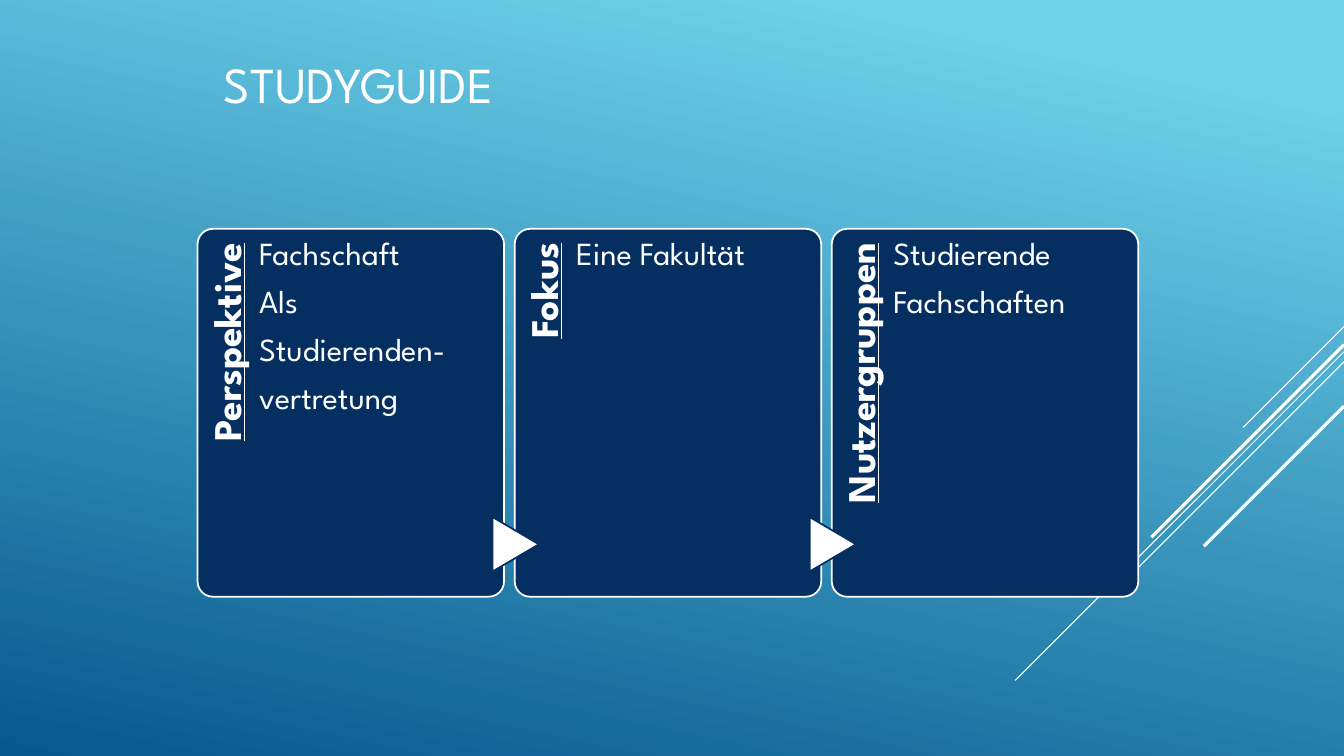
import pptx
import pptx.dml.color
import pptx.enum.shapes
import pptx.enum.text
import pptx.oxml
import pptx.oxml.ns
import pptx.util

Inches = pptx.util.Inches
Pt = pptx.util.Pt
RGBColor = pptx.dml.color.RGBColor
MSO_SHAPE = pptx.enum.shapes.MSO_SHAPE
PP_ALIGN = pptx.enum.text.PP_ALIGN
MSO_ANCHOR = pptx.enum.text.MSO_ANCHOR

WHITE = RGBColor(0xFF, 0xFF, 0xFF)
NAVY = RGBColor(0x05, 0x2F, 0x61)
SKY = RGBColor(0x6E, 0xD2, 0xEB)
OCEAN = RGBColor(0x06, 0x58, 0x8E)
FONT = "League Spartan"

deck = pptx.Presentation()
deck.slide_width = Inches(13.33)
deck.slide_height = Inches(7.5)
page = deck.slides.add_slide(deck.slide_layouts[5])


def add_panel(preset, left, top, width, height, fill_color, line_color):
    panel = page.shapes.add_shape(
        preset, Inches(left), Inches(top), Inches(width), Inches(height))
    panel.shadow.inherit = False
    panel.fill.solid()
    panel.fill.fore_color.rgb = fill_color
    panel.line.color.rgb = line_color
    panel.line.width = Pt(1.25)
    return panel


def add_text(lines, left, top, width, height, insets, size, space_after):
    box = page.shapes.add_textbox(
        Inches(left), Inches(top), Inches(width), Inches(height))
    frame = box.text_frame
    frame.word_wrap = True
    (frame.margin_left, frame.margin_top,
     frame.margin_right, frame.margin_bottom) = map(Inches, insets)
    frame.text = "\n".join(lines)
    for para in frame.paragraphs:
        para.line_spacing = 0.9
        para.space_after = Pt(space_after)
        para.font.name = FONT
        para.font.size = Pt(size)
        para.font.color.rgb = WHITE
    return box


# Background gradient
backdrop = page.background.fill
backdrop.gradient()
backdrop.gradient_angle = 258
for stop, color, position in zip(backdrop.gradient_stops, (SKY, OCEAN), (0.1, 1)):
    stop.color.rgb = color
    stop.position = position

# Diagonal lines running down from the right edge at 45 degrees
for top, length, weight in [(3.24, 1, 0.75), (3.49, 3.26, 0.75), (3.59, 2.07, 0.75),
                            (3.42, 1.91, 2.25), (4.03, 1.39, 2.25)]:
    ray = page.shapes.add_connector(
        pptx.enum.shapes.MSO_CONNECTOR.STRAIGHT, Inches(13.33), Inches(top),
        Inches(13.33 - length), Inches(top + length))
    ray.line.color.rgb = WHITE
    ray.line.width = Pt(weight)
    ray._element.spPr.append(pptx.oxml.parse_xml(
        "<a:effectLst %s/>" % pptx.oxml.ns.nsdecls("a")))

# Title
title = page.shapes.title
title.left, title.top = Inches(2.12), Inches(0)
title.width, title.height = Inches(9.33), Inches(1.65)
title.text_frame.text = "STUDYGUIDE"
title.text_frame.vertical_anchor = MSO_ANCHOR.MIDDLE
heading = title.text_frame.paragraphs[0]
heading.alignment = PP_ALIGN.LEFT
heading.font.name = FONT
heading.font.size = Pt(36)
heading.font.color.rgb = WHITE

# Three cards, with an arrow leading into each card after the first
cards = [
    ("Perspektive", ["Fachschaft", "Als", "Studierenden-", "vertretung"]),
    ("Fokus", ["Eine Fakultät"]),
    ("Nutzergruppen", ["Studierende", "Fachschaften"]),
]
CARD_TOP, CARD_HEIGHT = 2.27, 3.65
for index, (label, lines) in enumerate(cards):
    left = 1.96 + 3.145 * index
    card = add_panel(MSO_SHAPE.ROUNDED_RECTANGLE, left, CARD_TOP, 3.04, CARD_HEIGHT,
                     NAVY, WHITE)
    card.adjustments[0] = 0.05

    label_box = add_text([label], left - 1.19, 3.46, 2.99, 0.61,
                         (0, 0.1, 0.14, 0), 28, 11.5)
    label_box.rotation = 270
    label_para = label_box.text_frame.paragraphs[0]
    label_para.alignment = PP_ALIGN.RIGHT
    label_para.font.bold = True
    label_para.font.underline = True

    if index > 0:
        arrow = add_panel(MSO_SHAPE.FLOWCHART_EXTRACT, left - 0.26, 5.17, 0.54, 0.46,
                          WHITE, NAVY)
        arrow.rotation = 90

    add_text(lines, left + 0.61, CARD_TOP, 2.26, CARD_HEIGHT, (0, 0.09, 0, 0), 23, 9.5)

deck.save("out.pptx")
